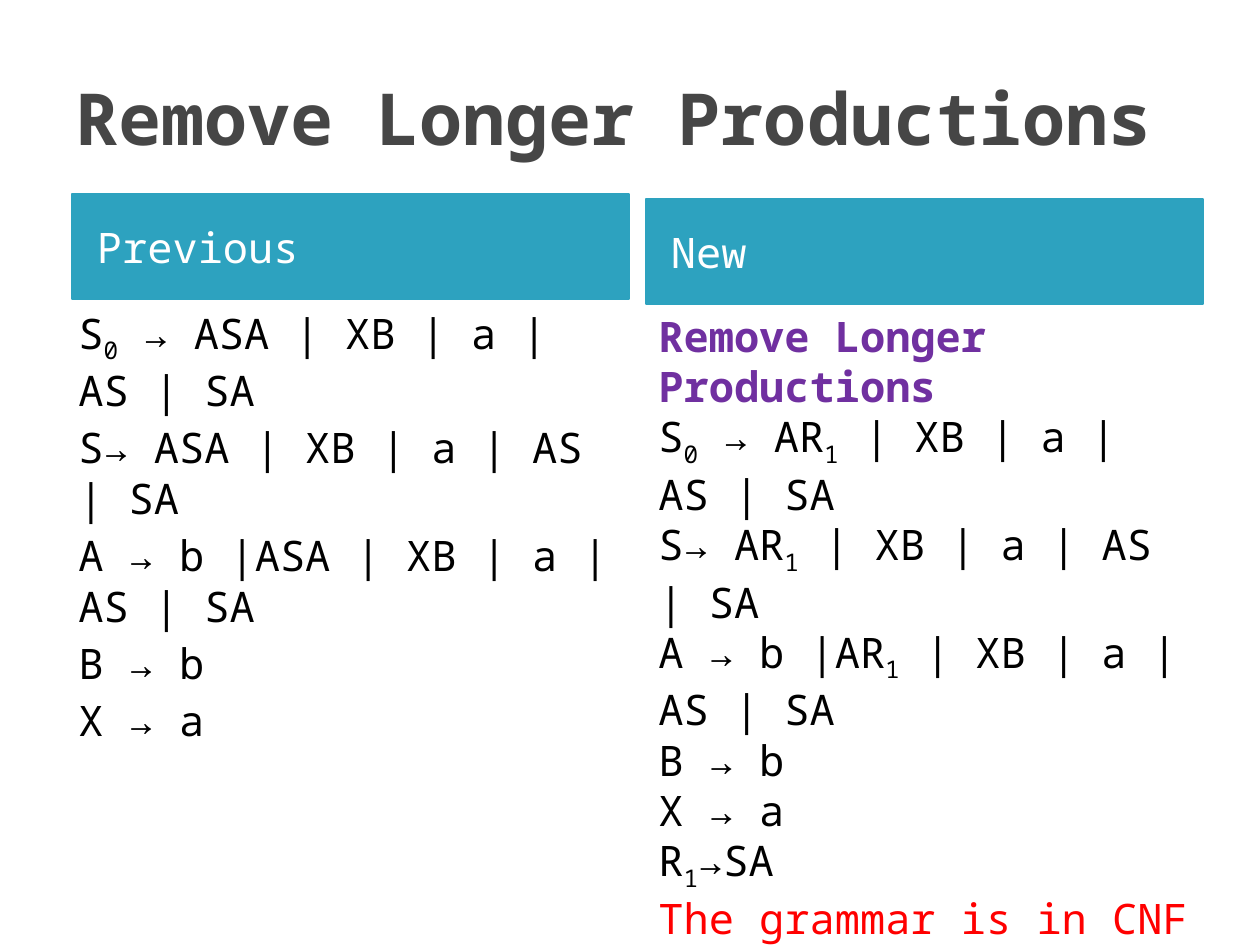
from dataclasses import dataclass

from pptx import Presentation
from pptx.dml.color import RGBColor
from pptx.enum.shapes import MSO_SHAPE
from pptx.enum.text import MSO_ANCHOR, PP_ALIGN
from pptx.util import Emu, Pt

RECTANGLE = MSO_SHAPE.RECTANGLE
TOP, MIDDLE = MSO_ANCHOR.TOP, MSO_ANCHOR.MIDDLE
LEFT = PP_ALIGN.LEFT

EMU_PER_PIXEL = 914400 / 126
FONT = "Noto Sans Mono"
TEAL, WHITE, BLACK = "2DA2BF", "FFFFFF", "000000"
GRAY, PURPLE, RED = "464646", "7030A0", "FF0000"
COLUMN_WIDTH, HEADER_HEIGHT, BODY_HEIGHT = 557, 105, 543


@dataclass
class Line:
    text: str
    color: str = BLACK
    bold: bool = False
    size: int = 24


@dataclass
class Column:
    heading: str
    header_left: int
    header_top: int
    body_left: int
    body_top: int
    space_before: int
    lines: list[Line]


COLUMNS = [
    Column("Previous", 72, 194, 66, 301, 4, [
        Line("S_0_\u00a0→ ASA | XB | a | AS | SA"),
        Line("S→ ASA | XB | a | AS | SA"),
        Line("A → b |ASA | XB | a | AS | SA"),
        Line("B → b"),
        Line("X → a"),
    ]),
    Column("New", 646, 199, 646, 304, 0, [
        Line("Remove Longer Productions", PURPLE, True),
        Line("S_0_\u00a0→ AR_1_ | XB | a | AS | SA"),
        Line("S→ AR_1_ | XB | a | AS | SA"),
        Line("A → b |AR_1_ | XB | a | AS | SA"),
        Line("B → b"),
        Line("X → a"),
        Line("R_1_→SA"),
        Line("The grammar is in CNF", RED),
    ]),
]


def px(pixels: float) -> Emu:
    return Emu(round(pixels * EMU_PER_PIXEL))


def rgb(color: str) -> RGBColor:
    return RGBColor.from_string(color)


def write_lines(shape, lines: list[Line], anchor, space_before: int = 0) -> None:
    frame = shape.text_frame
    frame.word_wrap = True
    frame.vertical_anchor = anchor
    for index, line in enumerate(lines):
        paragraph = frame.add_paragraph() if index else frame.paragraphs[0]
        paragraph.alignment = LEFT
        paragraph.space_before = Pt(space_before)
        for position, text in enumerate(line.text.split("_")):
            if not text:
                continue
            run = paragraph.add_run()
            run.text = text
            run.font.name = FONT
            run.font.size = Pt(line.size)
            run.font.bold = line.bold
            run.font.color.rgb = rgb(line.color)
            if position % 2:
                run.font._element.set("baseline", "-25000")


def add_text(slide, left: int, top: int, width: int, height: int,
             lines: list[Line], anchor, space_before: int = 0) -> None:
    shape = slide.shapes.add_textbox(px(left), px(top), px(width), px(height))
    write_lines(shape, lines, anchor, space_before)


def add_header(slide, column: Column) -> None:
    shape = slide.shapes.add_shape(
        RECTANGLE, px(column.header_left), px(column.header_top),
        px(COLUMN_WIDTH), px(HEADER_HEIGHT))
    shape.shadow.inherit = False
    shape.fill.solid()
    shape.fill.fore_color.rgb = rgb(TEAL)
    shape.line.color.rgb = rgb(TEAL)
    shape.line.width = Pt(0.76)
    shape.text_frame.margin_left = px(25)
    write_lines(shape, [Line(column.heading, WHITE)], MIDDLE, 4)


presentation = Presentation()
presentation.slide_width = px(1260)
presentation.slide_height = px(945)
slide = presentation.slides.add_slide(presentation.slide_layouts[6])

add_text(slide, 63, 38, 1134, 157,
         [Line("Remove Longer Productions", GRAY, True, 41)], MIDDLE)
for column in COLUMNS:
    add_header(slide, column)
    add_text(slide, column.body_left, column.body_top, COLUMN_WIDTH, BODY_HEIGHT,
             column.lines, TOP, column.space_before)

presentation.save("out.pptx")
